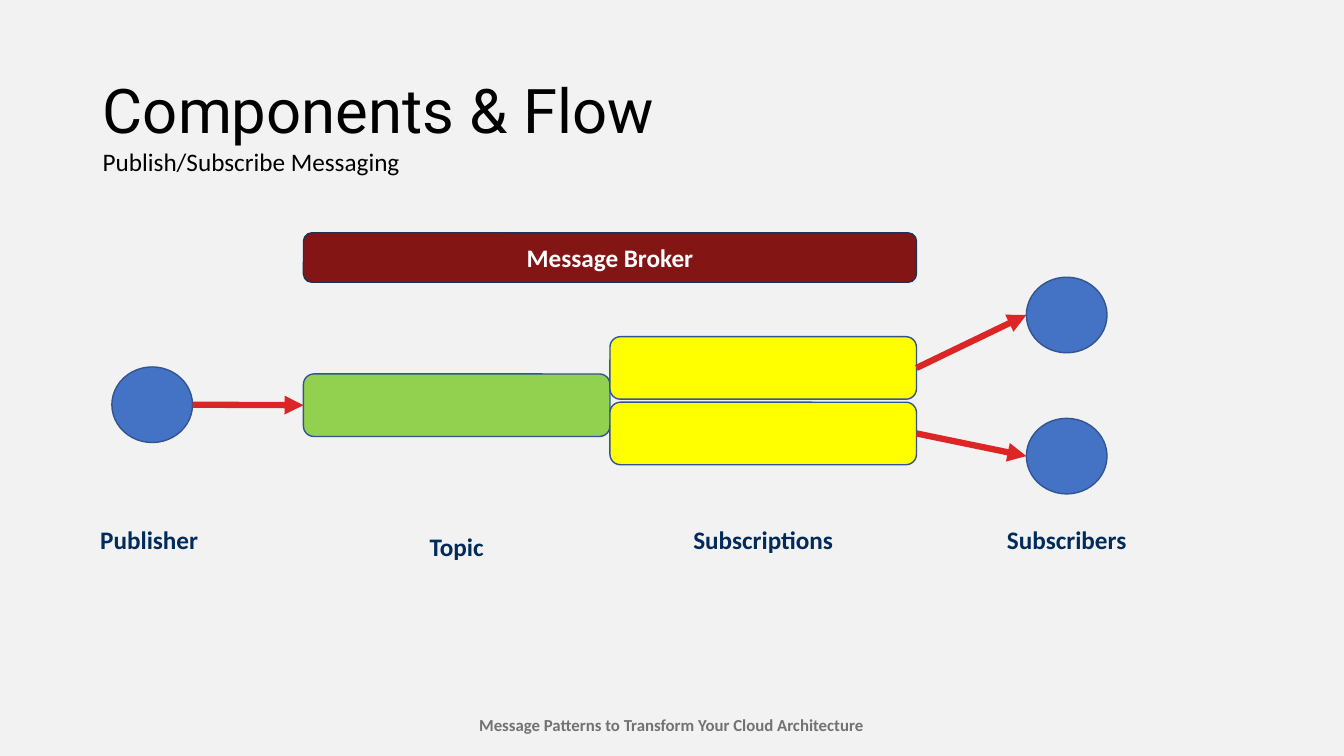
import pptx
import pptx.dml.color
import pptx.enum.shapes
import pptx.enum.text
import pptx.oxml
import pptx.oxml.ns
import pptx.util

SHAPE = pptx.enum.shapes.MSO_SHAPE
ALIGN = pptx.enum.text.PP_ALIGN
ANCHOR = pptx.enum.text.MSO_ANCHOR
inch = pptx.util.Inches

SLIDE_W, SLIDE_H = 13.33, 7.5
BAR_W, BAR_H = 3.04, 0.62
DOT_W, DOT_H = 0.8, 0.75
LABEL_H = 0.4
LABEL = {"size": 18, "bold": True, "color": "002B5B"}


def rgb(value):
    return pptx.dml.color.RGBColor.from_string(value)


def write(tf, text, color="000000", size=18, name="Calibri", bold=False, align=ALIGN.LEFT):
    p = tf.paragraphs[0]
    p.alignment = align
    r = p.add_run()
    r.text = text
    formats = {"size": pptx.util.Pt(size), "name": name, "bold": bold}
    for key, value in formats.items():
        setattr(r.font, key, value)
    r.font.color.rgb = rgb(color)
    return p


def add_text(slide, box, text, **formats):
    tf = slide.shapes.add_textbox(*map(inch, box)).text_frame
    tf.word_wrap = False
    write(tf, text, **formats)


def add_label(slide, center, top, width, text):
    add_text(slide, (center - width / 2, top, width, LABEL_H), text,
             align=ALIGN.CENTER, **LABEL)


def add_shape(slide, kind, box, fill, line="325491"):
    sp = slide.shapes.add_shape(kind, *map(inch, box))
    sp.shadow.inherit = False
    sp.fill.solid()
    sp.fill.fore_color.rgb = rgb(fill)
    sp.line.color.rgb = rgb(line)
    sp.line.width = pptx.util.Pt(1)
    return sp


def add_dot(slide, left, top):
    return add_shape(slide, SHAPE.OVAL, (left, top, DOT_W, DOT_H), "4472C4")


def add_bar(slide, left, top, fill):
    return add_shape(slide, SHAPE.ROUNDED_RECTANGLE, (left, top, BAR_W, BAR_H), fill)


def add_arrow(slide, start, end):
    """Draw a red arrow between two shapes, left to right, joined to the bars."""
    points = (start.left + start.width, start.top + start.height // 2,
              end.left, end.top + end.height // 2)
    cxn = slide.shapes.add_connector(pptx.enum.shapes.MSO_CONNECTOR.STRAIGHT, *points)
    cxn.line.color.rgb = rgb("DC2626")
    cxn.line.width = pptx.util.Pt(4.5)
    tail = pptx.oxml.parse_xml(
        f'<a:tailEnd {pptx.oxml.ns.nsdecls("a")} type="triangle"/>')
    cxn.line._get_or_add_ln().append(tail)
    effects = pptx.oxml.parse_xml(f'<a:effectLst {pptx.oxml.ns.nsdecls("a")}/>')
    cxn._element.spPr.append(effects)
    if start.auto_shape_type == SHAPE.ROUNDED_RECTANGLE:
        cxn.begin_connect(start, 3)
    if end.auto_shape_type == SHAPE.ROUNDED_RECTANGLE:
        cxn.end_connect(end, 1)


def add_heading(slide, left, top, width, height):
    title = slide.shapes.title
    place = {"left": left, "top": top, "width": width, "height": height}
    for key, value in place.items():
        setattr(title, key, inch(value))
    title.text_frame.vertical_anchor = ANCHOR.MIDDLE
    p = write(title.text_frame, "Components & Flow", size=44, name="Roboto")
    p.line_spacing = 0.9
    add_text(slide, (left, top + 1, 3.88, LABEL_H), "Publish/Subscribe Messaging")


def add_broker(slide, left, top):
    """Place the broker banner over its topic and subscriptions; return the bars."""
    middle = left + BAR_W
    banner = add_shape(slide, SHAPE.ROUNDED_RECTANGLE, (left, top, 2 * BAR_W, 0.49),
                       "841515", line="1E3256")
    banner.text_frame.vertical_anchor = ANCHOR.MIDDLE
    write(banner.text_frame, "Message Broker", color="FFFFFF", bold=True, align=ALIGN.CENTER)
    topic = add_bar(slide, left, top + 1.4, "92D050")
    subscriptions = [add_bar(slide, middle, top + 1.03 + i * 0.65, "FFFF00")
                     for i in range(2)]
    add_label(slide, left + BAR_W / 2, top + 2.91, 0.74, "Topic")
    add_label(slide, middle + BAR_W / 2, top + 2.84, 1.6, "Subscriptions")
    return topic, subscriptions


def add_publisher(slide, left, top):
    dot = add_dot(slide, left, top)
    add_label(slide, left + 0.37, top + 1.51, 1.18, "Publisher")
    return dot


def add_subscribers(slide, left, top):
    dots = [add_dot(slide, left, top + i * 1.4) for i in range(2)]
    add_label(slide, left + DOT_W / 2, top + 2.4, 1.39, "Subscribers")
    return dots


def add_flow(slide, left, top):
    publisher = add_publisher(slide, left, top + 1.33)
    topic, subscriptions = add_broker(slide, left + 1.9, top)
    subscribers = add_subscribers(slide, left + 9.07, top + 0.44)
    add_arrow(slide, publisher, topic)
    for subscription, subscriber in zip(subscriptions, subscribers):
        add_arrow(slide, subscription, subscriber)


def main():
    prs = pptx.Presentation()
    prs.slide_width, prs.slide_height = inch(SLIDE_W), inch(SLIDE_H)
    slide = prs.slides.add_slide(prs.slide_layouts[5])
    slide.background.fill.solid()
    slide.background.fill.fore_color.rgb = rgb("F2F2F2")
    add_text(slide, (4.63, 7.04, 4.06, 0.3),
             "Message Patterns to Transform Your Cloud Architecture",
             color="727272", size=12, bold=True, align=ALIGN.CENTER)
    add_heading(slide, 0.92, 0.4, 11.5, 1.45)
    add_flow(slide, 1.11, 2.31)
    prs.save("out.pptx")


if __name__ == "__main__":
    main()
